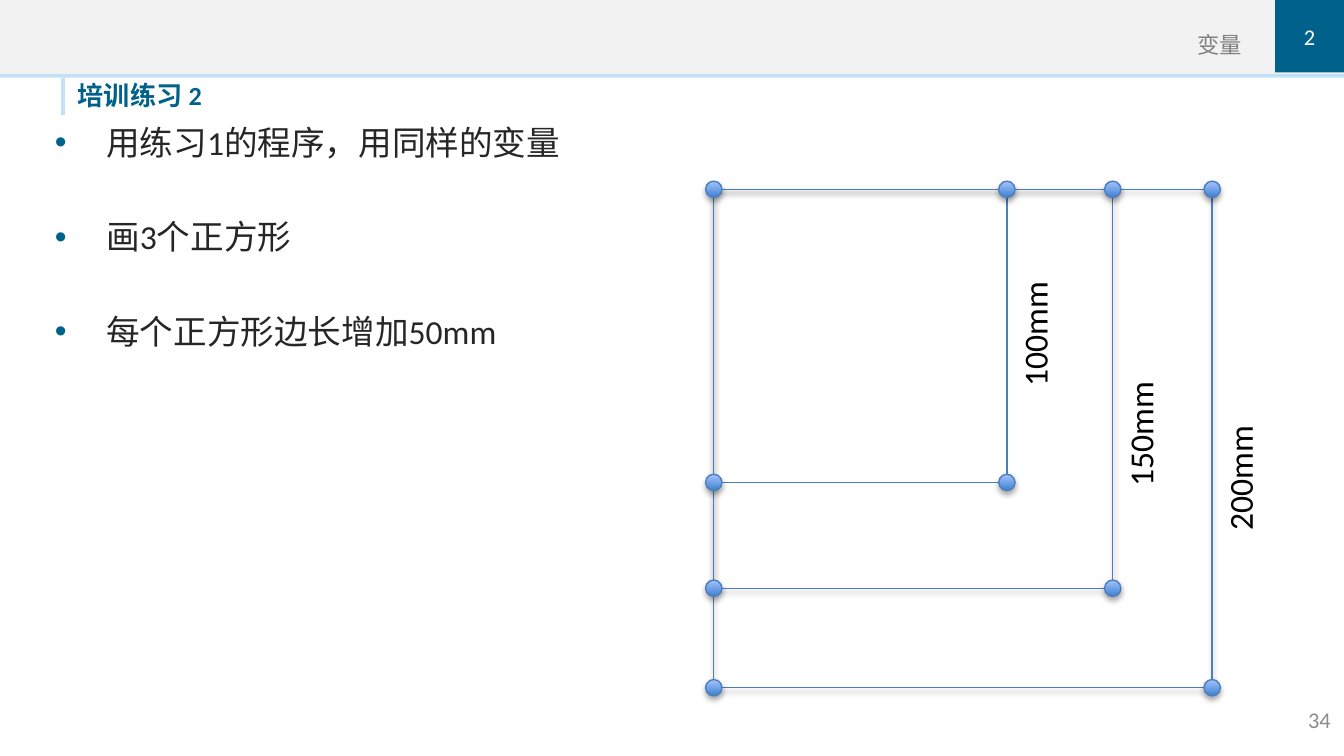
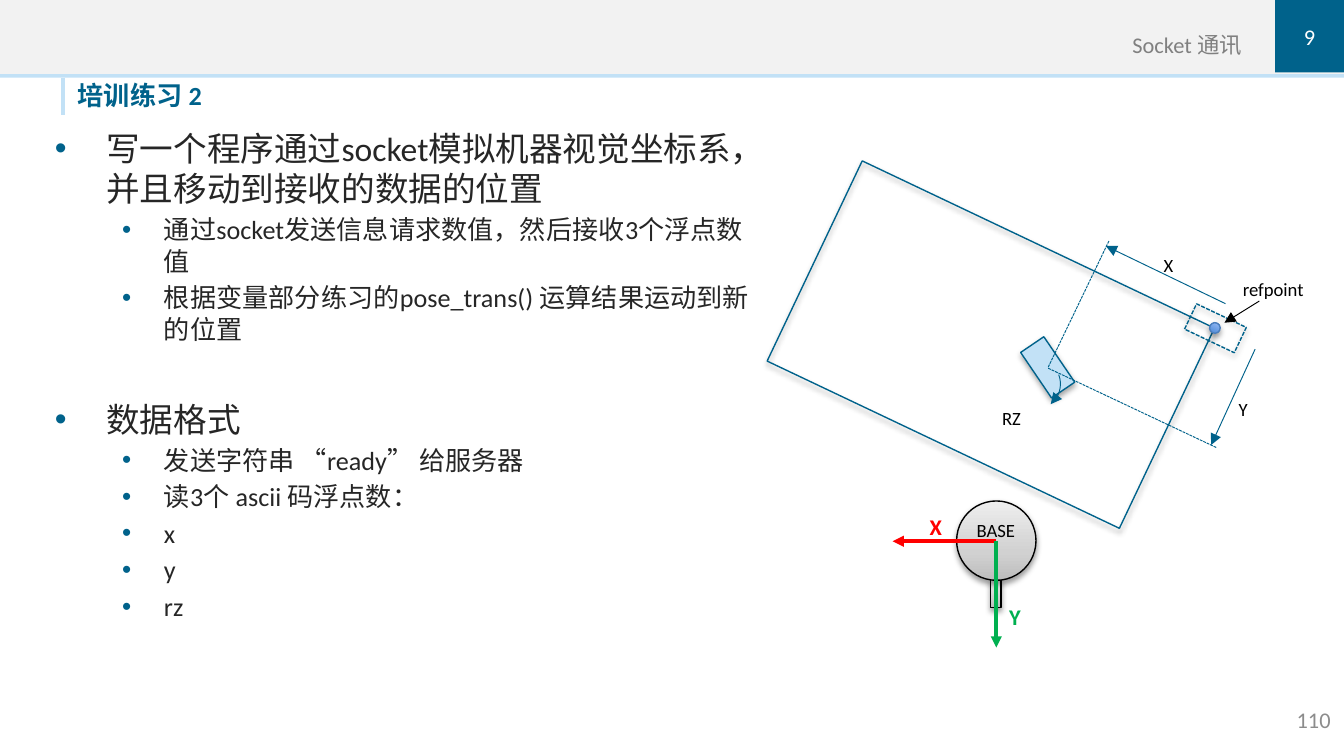
from dataclasses import dataclass
from typing import NamedTuple, Optional

import lxml.etree
import pptx
import pptx.dml.color
import pptx.enum.dml
import pptx.enum.shapes
import pptx.enum.text
import pptx.oxml.ns
import pptx.shapes.autoshape
import pptx.slide
import pptx.text.text
import pptx.util

Cm = pptx.util.Cm
Pt = pptx.util.Pt
qn = pptx.oxml.ns.qn
PRESET = pptx.enum.shapes.MSO_SHAPE
ALIGN = pptx.enum.text.PP_ALIGN
ANCHOR = pptx.enum.text.MSO_ANCHOR


@dataclass(frozen=True)
class Theme:
    font: str = "Calibri"
    petrol: str = "00628B"
    pale_blue: str = "C2E1F6"
    band_grey: str = "F2F2F2"
    section_grey: str = "808080"
    page_grey: str = "8C8C8C"
    body: str = "262626"
    black: str = "000000"
    white: str = "FFFFFF"
    outline: str = "4B7EBC"
    x_axis: str = "FF0000"
    y_axis: str = "00B050"
    blue_gradient: tuple = ((0, "3F80CE"), (100, "A4C4FF"))
    grey_gradient: tuple = ((0, "BDBDBD"), (35, "D1D1D1"), (100, "EEEEEE"))
    large: float = 18
    title: float = 14
    medium: float = 12
    small: float = 10


THEME = Theme()


class Box(NamedTuple):
    """Left, top, width and height in centimetres."""
    left: float
    top: float
    width: float
    height: float

    def lengths(self) -> list:
        return [Cm(value) for value in self]


class TextStyle(NamedTuple):
    size: float
    color: str
    bold: bool = False
    align: ALIGN = ALIGN.LEFT
    anchor: ANCHOR = ANCHOR.TOP


class Bullet(NamedTuple):
    text: str
    level: int = 0
    new_block: bool = False


class Label(NamedTuple):
    text: str
    box: Box
    style: TextStyle
    rotation: float = 0


@dataclass(frozen=True)
class Figure:
    preset: PRESET
    box: Box
    fill: Optional[str] = None
    gradient: tuple = ()
    line: Optional[str] = None
    line_width: float = 0.75
    dashed: bool = False
    rotation: float = 0
    shadow_opacity: int = 0


class Line(NamedTuple):
    start: tuple
    end: tuple
    color: str = THEME.petrol
    width: float = 0.5
    arrow: bool = False
    dashed: bool = False


class Square(NamedTuple):
    side: float
    label: str
    label_middle: float
    label_width: float
    shadow_opacity: int


class Header(NamedTuple):
    section: str
    chapter: str
    title: str
    page: str


def rgb(color: str) -> pptx.dml.color.RGBColor:
    return pptx.dml.color.RGBColor.from_string(color)


def format_runs(paragraph: pptx.text.text._Paragraph, style: TextStyle) -> None:
    paragraph.alignment = style.align
    for run in paragraph.runs:
        run.font.name = THEME.font
        run.font.size = Pt(style.size)
        run.font.bold = style.bold
        run.font.color.rgb = rgb(style.color)


def set_text(shape, text: str, style: TextStyle, margins: Optional[tuple] = None) -> None:
    """Fill a shape with one paragraph; margins are left, top, right, bottom in cm."""
    frame = shape.text_frame
    frame.text = text
    frame.word_wrap = True
    frame.auto_size = pptx.enum.text.MSO_AUTO_SIZE.NONE
    frame.vertical_anchor = style.anchor
    if margins is not None:
        (frame.margin_left, frame.margin_top,
         frame.margin_right, frame.margin_bottom) = [Cm(value) for value in margins]
    format_runs(frame.paragraphs[0], style)


def add_label(slide: pptx.slide.Slide, label: Label, margins: Optional[tuple] = None) -> None:
    shape = slide.shapes.add_textbox(*label.box.lengths())
    shape.rotation = label.rotation
    set_text(shape, label.text, label.style, margins)


def set_gradient(shape: pptx.shapes.autoshape.Shape, stops: tuple) -> None:
    shape.fill.gradient()
    shape.fill.gradient_angle = 90
    stop_list = shape._element.spPr.find(".//" + qn("a:gsLst"))
    for old_stop in list(stop_list):
        stop_list.remove(old_stop)
    for position, color in stops:
        stop = lxml.etree.SubElement(stop_list, qn("a:gs"), pos=str(position * 1000))
        lxml.etree.SubElement(stop, qn("a:srgbClr"), val=color)


def set_shadow(shape: pptx.shapes.autoshape.Shape, opacity: int) -> None:
    """Drop a soft black shadow straight down, or none at zero opacity."""
    shape.shadow.inherit = False
    if opacity:
        effects = shape._element.spPr.find(qn("a:effectLst"))
        shadow = lxml.etree.SubElement(
            effects, qn("a:outerShdw"), blurRad=str(Pt(3.1)), dist=str(Pt(1.8)),
            dir="5400000", rotWithShape="0")
        color = lxml.etree.SubElement(shadow, qn("a:srgbClr"), val=THEME.black)
        lxml.etree.SubElement(color, qn("a:alpha"), val=str(opacity * 1000))


def set_line(line, color: str, width: float, dashed: bool, arrow: bool = False) -> None:
    line.color.rgb = rgb(color)
    line.width = Pt(width)
    if dashed:
        line.dash_style = pptx.enum.dml.MSO_LINE.SQUARE_DOT
    if arrow:
        lxml.etree.SubElement(line._get_or_add_ln(), qn("a:tailEnd"), type="triangle")


def add_figure(slide: pptx.slide.Slide, figure: Figure,
               arrow: bool = False) -> pptx.shapes.autoshape.Shape:
    shape = slide.shapes.add_shape(figure.preset, *figure.box.lengths())
    shape.rotation = figure.rotation
    if figure.gradient:
        set_gradient(shape, figure.gradient)
    elif figure.fill:
        shape.fill.solid()
        shape.fill.fore_color.rgb = rgb(figure.fill)
    else:
        shape.fill.background()
    if figure.line:
        set_line(shape.line, figure.line, figure.line_width, figure.dashed, arrow)
    else:
        shape.line.fill.background()
    set_shadow(shape, figure.shadow_opacity)
    return shape


def add_line(slide: pptx.slide.Slide, line: Line) -> None:
    points = [Cm(value) for value in (*line.start, *line.end)]
    connector = slide.shapes.add_connector(
        pptx.enum.shapes.MSO_CONNECTOR.STRAIGHT, *points)
    set_line(connector.line, line.color, line.width, line.dashed, line.arrow)
    lxml.etree.SubElement(connector._element.spPr, qn("a:effectLst"))


def add_bullets(slide: pptx.slide.Slide, box: Box, bullets: list) -> None:
    frame = slide.shapes.add_textbox(*box.lengths()).text_frame
    frame.word_wrap = True
    for index, bullet in enumerate(bullets):
        paragraph = frame.add_paragraph() if index else frame.paragraphs[0]
        paragraph.text = bullet.text
        paragraph.level = bullet.level
        left, hanging = ((0.97, 0.97), (2.06, 0.79))[bullet.level]
        size = (THEME.large, THEME.title)[bullet.level]
        properties = paragraph._p.get_or_add_pPr()
        properties.set("marL", str(Cm(left)))
        properties.set("indent", str(-Cm(hanging)))
        bullet_color = lxml.etree.SubElement(properties, qn("a:buClr"))
        lxml.etree.SubElement(bullet_color, qn("a:srgbClr"), val=THEME.petrol)
        lxml.etree.SubElement(properties, qn("a:buFont"), typeface="Arial")
        lxml.etree.SubElement(properties, qn("a:buChar"), char="•")
        if index:
            paragraph.space_before = Pt(29 if bullet.new_block else size * 0.2)
        format_runs(paragraph, TextStyle(size, THEME.body))


def add_titled_slide(presentation, header: Header) -> pptx.slide.Slide:
    slide = presentation.slides.add_slide(presentation.slide_layouts[5])
    for height, color in ((1.47, THEME.pale_blue), (1.4, THEME.band_grey)):
        add_figure(slide, Figure(PRESET.RECTANGLE, Box(0, 0, 25.4, height), color))
    add_line(slide, Line((1.19, 1.47), (1.19, 2.18), THEME.pale_blue, 2.5))
    add_label(slide, Label(header.page, Box(22.86, 13.23, 2.54, 0.76), TextStyle(
        THEME.medium, THEME.page_grey, align=ALIGN.RIGHT, anchor=ANCHOR.MIDDLE)))
    add_label(slide, Label(header.section, Box(12.7, 0, 10.77, 1.09), TextStyle(
        THEME.medium, THEME.section_grey, align=ALIGN.RIGHT, anchor=ANCHOR.BOTTOM)),
        (0, 0, 0, 0))
    chapter = add_figure(
        slide, Figure(PRESET.RECTANGLE, Box(24.1, 0, 1.3, 1.37), THEME.petrol))
    set_text(chapter, header.chapter, TextStyle(
        THEME.medium, THEME.white, align=ALIGN.CENTER, anchor=ANCHOR.MIDDLE), (0, 0, 0, 0))
    title = slide.shapes.title
    title.left, title.top, title.width, title.height = Box(1.47, 1.5, 11.2, 0.71).lengths()
    set_text(title, header.title, TextStyle(THEME.title, THEME.petrol, bold=True),
             (0, 0, 0, 0.1))
    return slide


def build_squares_slide(presentation) -> None:
    slide = add_titled_slide(presentation, Header("变量", "2", "培训练习 2", "34"))
    add_bullets(slide, Box(0.79, 2.18, 22.12, 11.9), [
        Bullet("用练习1的程序，用同样的变量"),
        Bullet("画3个正方形", new_block=True),
        Bullet("每个正方形边长增加50mm", new_block=True),
    ])
    left, top, dot = 13.49, 3.58, 0.31
    squares = [
        Square(7.54, "150mm", 8.03, 2.82, 35),
        Square(9.42, "200mm", 8.81, 2.92, 35),
        Square(5.54, "100mm", 6.02, 3.07, 0),
    ]
    corners = [(0, 0)]
    for square in squares:
        side = square.side
        add_figure(slide, Figure(PRESET.RECTANGLE, Box(left, top, side, side),
                                 line=THEME.outline, shadow_opacity=square.shadow_opacity))
        corners += [(side, 0), (0, side), (side, side)]
    for across, down in corners:
        box = Box(left + across - dot / 2, top + down - dot / 2, dot, dot)
        add_figure(slide, Figure(PRESET.OVAL, box, gradient=THEME.blue_gradient,
                                 line=THEME.outline, shadow_opacity=35))
    label_gap, label_height = 0.52, 1.02
    for square in squares:
        center = left + square.side + label_gap
        box = Box(center - square.label_width / 2, square.label_middle - label_height / 2,
                  square.label_width, label_height)
        add_label(slide, Label(square.label, box, TextStyle(THEME.large, THEME.black), 270))


def build_socket_slide(presentation) -> None:
    slide = add_titled_slide(presentation, Header("Socket 通讯", "9", "培训练习 2", "110"))
    add_bullets(slide, Box(0.79, 2.29, 13.72, 11.9), [
        Bullet("写一个程序通过socket模拟机器视觉坐标系，并且移动到接收的数据的位置"),
        Bullet("通过socket发送信息请求数值，然后接收3个浮点数值", 1),
        Bullet("根据变量部分练习的pose_trans() 运算结果运动到新的位置", 1),
        Bullet("数据格式", new_block=True),
        Bullet("发送字符串 “ready” 给服务器", 1),
        Bullet("读3个 ascii 码浮点数：", 1),
        Bullet("x", 1),
        Bullet("y", 1),
        Bullet("rz", 1),
    ])
    tilt, origin = 25.4, (18.83, 10.23)
    robot_base = [(PRESET.RECTANGLE, Box(18.72, 10.95, 0.2, 0.53)),
                  (PRESET.OVAL, Box(18.08, 9.47, 1.5, 1.5))]
    for preset, box in robot_base:
        add_figure(slide, Figure(preset, box, gradient=THEME.grey_gradient,
                                 line=THEME.black, shadow_opacity=38))
    add_line(slide, Line(origin, (16.87, 10.23), THEME.x_axis, 2, arrow=True))
    add_line(slide, Line(origin, (18.83, 12.24), THEME.y_axis, 2, arrow=True))

    work_table = Figure(PRESET.RECTANGLE, Box(15.04, 4.42, 7.37, 4.19), line=THEME.petrol,
                        rotation=tilt, shadow_opacity=38)
    part_at_reference = Figure(PRESET.RECTANGLE, Box(22.45, 5.94, 1.04, 0.53), dashed=True,
                               line=THEME.petrol, rotation=tilt, shadow_opacity=35)
    reference_point = Figure(PRESET.OVAL, Box(22.86, 6.1, 0.2, 0.2), rotation=tilt,
                             gradient=THEME.blue_gradient, line=THEME.outline,
                             shadow_opacity=35)
    found_part = Figure(PRESET.RECTANGLE, Box(19.28, 6.68, 1.04, 0.53), THEME.pale_blue,
                        line=THEME.petrol, rotation=55.8, shadow_opacity=35)
    for figure in (work_table, part_at_reference, reference_point, found_part):
        add_figure(slide, figure)

    for line in (
        Line((23.16, 5.74), (20.9, 4.65), arrow=True),
        Line((19.81, 6.94), (20.96, 4.55), dashed=True),
        Line((23.72, 6.6), (22.89, 8.41), arrow=True),
        Line((19.81, 6.96), (22.99, 8.46), dashed=True),
        Line((23.8, 5.69), (23.14, 6.1), THEME.black, arrow=True),
    ):
        add_line(slide, line)
    turn = add_figure(slide, Figure(PRESET.ARC, Box(19.05, 6.76, 0.99, 0.99),
                                    line=THEME.petrol, line_width=0.5, rotation=205.4), True)
    for index, degrees in enumerate((133.87, 205.53)):
        turn.adjustments[index] = degrees * 0.6

    plain = TextStyle(THEME.small, THEME.black)
    for label in (
        Label("BASE", Box(18.21, 9.68, 1.37, 0.69), plain),
        Label("Y", Box(18.82, 11.28, 0.81, 0.76), TextStyle(THEME.medium, THEME.y_axis, True)),
        Label("X", Box(17.32, 9.58, 0.81, 0.76), TextStyle(THEME.medium, THEME.x_axis, True)),
        Label("X", Box(21.74, 4.67, 0.81, 0.69), plain),
        Label("Y", Box(23.16, 7.39, 0.81, 0.69), plain),
        Label("RZ", Box(18.69, 7.57, 1.04, 0.69), plain),
        Label("refpoint", Box(23.24, 5.13, 1.85, 0.69), plain),
    ):
        add_label(slide, label)


def main() -> None:
    presentation = pptx.Presentation()
    presentation.slide_width = Cm(25.4)
    presentation.slide_height = Cm(14.29)
    build_squares_slide(presentation)
    build_socket_slide(presentation)
    presentation.save("out.pptx")


if __name__ == "__main__":
    main()
